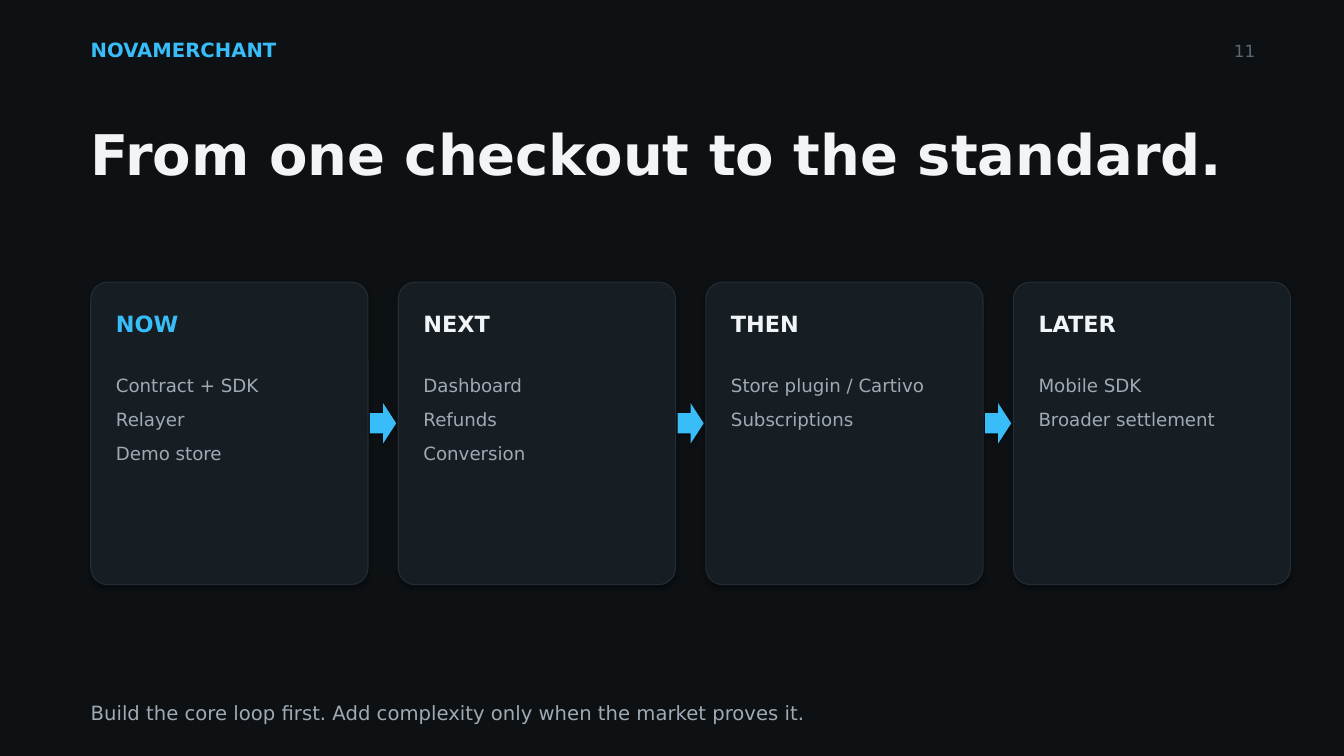
"""Build the product roadmap slide with four stages linked by arrows."""
from dataclasses import dataclass

from lxml.etree import SubElement
from pptx import Presentation
from pptx.dml.color import RGBColor
from pptx.enum.shapes import MSO_SHAPE
from pptx.enum.text import MSO_ANCHOR, MSO_AUTO_SIZE, PP_ALIGN
from pptx.oxml.ns import qn
from pptx.util import Inches, Pt

BRAND = "NOVAMERCHANT"
PAGE = "11"
TITLE = "From one checkout to the standard."
STAGES = [
    ("NOW", ["Contract + SDK", "Relayer", "Demo store"]),
    ("NEXT", ["Dashboard", "Refunds", "Conversion"]),
    ("THEN", ["Store plugin / Cartivo", "Subscriptions"]),
    ("LATER", ["Mobile SDK", "Broader settlement"]),
]
CLOSING = "Build the core loop first. Add complexity only when the market proves it."


@dataclass(frozen=True)
class Theme:
    """Hold the colours, font and type sizes of the slide."""

    font: str = "DejaVu Sans"
    background: str = "0D1114"
    card: str = "161D23"
    border: str = "242D35"
    accent: str = "38BDF8"
    bright: str = "F2F5F7"
    muted: str = "9FAAB4"
    faint: str = "5B6670"
    title: int = 40
    heading: int = 16
    label: int = 14
    item: int = 13
    page: int = 12


THEME = Theme()
LEFT, TEXT_WIDTH = 0.9, 11.5
CARD_TOP, CARD_WIDTH, CARD_HEIGHT, CARD_GAP = 2.8, 2.75, 3, 0.3
CARD_PADDING, HEADING_TOP, LIST_TOP, LINE_HEIGHT = 0.25, 3.08, 3.65, 0.34
ARROW_WIDTH, ARROW_HEIGHT = 0.26, 0.4


def place(shape, left, top, width, height):
    """Move a shape to a position given in inches."""
    box = {"left": left, "top": top, "width": width, "height": height}
    for name, value in box.items():
        setattr(shape, name, Inches(value))


def write(shape, lines, size, color, bold=False, **paragraph_format):
    """Fill a shape with uniformly formatted paragraphs."""
    frame = shape.text_frame
    frame.text = "\n".join(lines)
    frame_format = {
        "margin_left": 0, "margin_right": 0, "margin_top": 0, "margin_bottom": 0,
        "word_wrap": True, "vertical_anchor": MSO_ANCHOR.TOP,
        "auto_size": MSO_AUTO_SIZE.SHAPE_TO_FIT_TEXT,
    }
    for name, value in frame_format.items():
        setattr(frame, name, value)
    layout = {"alignment": PP_ALIGN.LEFT, "space_before": Pt(0)} | paragraph_format
    font_format = {"name": THEME.font, "size": Pt(size), "bold": bold}
    for paragraph in frame.paragraphs:
        properties = paragraph._p.get_or_add_pPr()
        if shape.is_placeholder:
            properties.set("marL", "0")
            properties.set("indent", "0")
            SubElement(properties, qn("a:buNone"))
        for name, value in layout.items():
            setattr(paragraph, name, value)
        for run in paragraph.runs:
            for name, value in font_format.items():
                setattr(run.font, name, value)
            run.font.color.rgb = RGBColor.from_string(color)


def add_text(slide, box, text, size, color, bold=False, **paragraph_format):
    """Add a text box holding one line."""
    shape = slide.shapes.add_textbox(*map(Inches, box))
    write(shape, [text], size, color, bold, **paragraph_format)


def add_panel(slide, kind, box, fill, border=None):
    """Add a filled preset shape that keeps the theme's soft shadow."""
    shape = slide.shapes.add_shape(kind, *map(Inches, box))
    shape.fill.solid()
    shape.fill.fore_color.rgb = RGBColor.from_string(fill)
    if border:
        shape.line.color.rgb = RGBColor.from_string(border)
        shape.line.width = Pt(0.75)
    else:
        shape.line.fill.background()
    return shape


def add_stage(slide, position, heading, items, body):
    """Add one roadmap card, its text and the arrow to the next card."""
    left = LEFT + position * (CARD_WIDTH + CARD_GAP)
    text_left, text_width = left + CARD_PADDING, CARD_WIDTH - 2 * CARD_PADDING
    card = add_panel(slide, MSO_SHAPE.ROUNDED_RECTANGLE,
                     (left, CARD_TOP, CARD_WIDTH, CARD_HEIGHT), THEME.card, THEME.border)
    card.adjustments[0] = 0.06
    color = THEME.bright if position else THEME.accent
    add_text(slide, (text_left, HEADING_TOP, text_width, 0.27), heading,
             THEME.heading, color, bold=True)
    slide.shapes._spTree.append(body._element)
    place(body, text_left, LIST_TOP, text_width, LINE_HEIGHT * len(items) - 0.06)
    write(body, items, THEME.item, THEME.muted, line_spacing=1.3, space_after=Pt(4))
    if position < len(STAGES) - 1:
        arrow_left = left + CARD_WIDTH + (CARD_GAP - ARROW_WIDTH) / 2
        arrow_top = CARD_TOP + (CARD_HEIGHT - ARROW_HEIGHT) / 2 - 0.1
        add_panel(slide, MSO_SHAPE.RIGHT_ARROW,
                  (arrow_left, arrow_top, ARROW_WIDTH, ARROW_HEIGHT), THEME.accent)


def main():
    """Create the presentation and save it."""
    presentation = Presentation()
    presentation.slide_width, presentation.slide_height = Inches(13.33), Inches(7.5)
    slide = presentation.slides.add_slide(presentation.slide_layouts.get_by_name("Comparison"))
    slide.background.fill.solid()
    slide.background.fill.fore_color.rgb = RGBColor.from_string(THEME.background)
    title, *bodies = slide.placeholders

    add_text(slide, (LEFT, 0.38, 4, 0.23), BRAND, THEME.label, THEME.accent, bold=True)
    add_text(slide, (11.6, 0.4, 0.85, 0.2), PAGE, THEME.page, THEME.faint,
             alignment=PP_ALIGN.RIGHT)
    place(title, LEFT, 1.15, TEXT_WIDTH, 0.7)
    write(title, [TITLE], THEME.title, THEME.bright, bold=True, line_spacing=1.05)
    for position, ((heading, items), body) in enumerate(zip(STAGES, bodies)):
        add_stage(slide, position, heading, items, body)
    add_text(slide, (LEFT, 6.95, TEXT_WIDTH, 0.23), CLOSING, THEME.label, THEME.muted)
    presentation.save("out.pptx")


if __name__ == "__main__":
    main()
